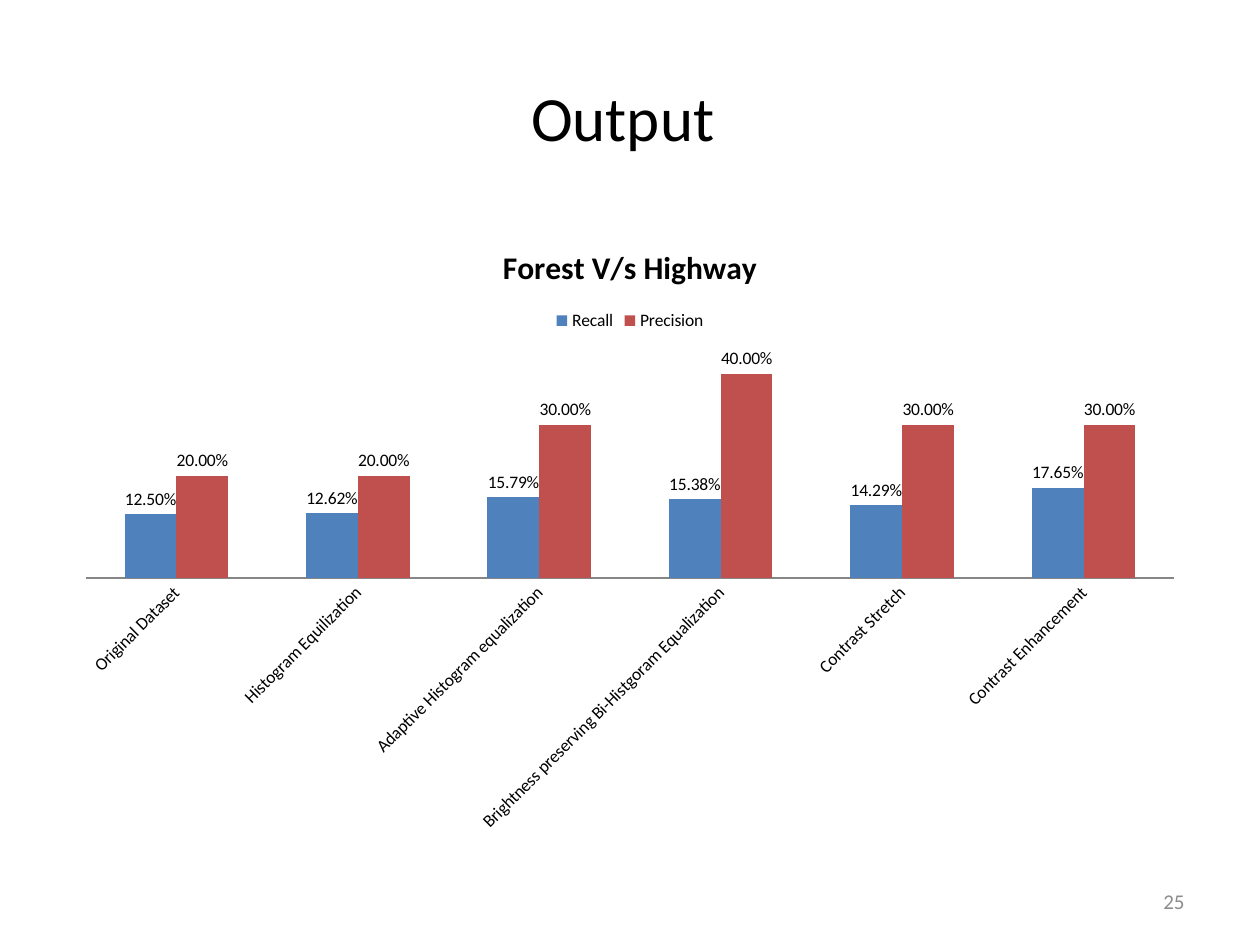
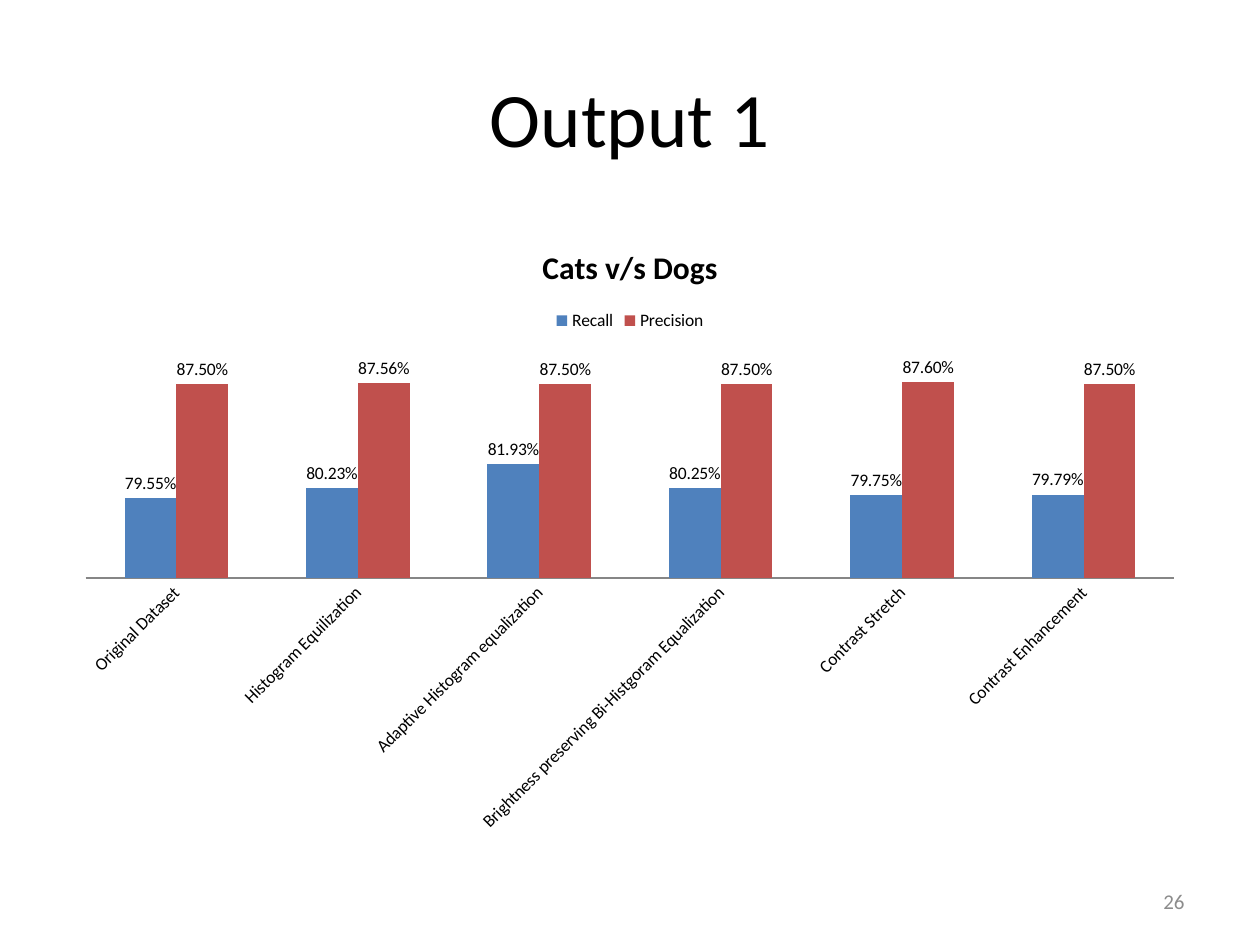
from dataclasses import dataclass

from pptx import Presentation
from pptx import util as u
from pptx.chart.data import CategoryChartData
from pptx.dml.color import RGBColor
from pptx.enum import chart as charts
from pptx.enum import text
from pptx.oxml.ns import qn

EMU_PER_PX = 9144  # 100 px to the inch
BLANK_LAYOUT = 6


@dataclass(frozen=True)
class Theme:
    font: str = "Calibri"
    ink: str = "000000"
    page_number: str = "8C8C8C"
    axis: str = "868686"
    series: tuple = ("4F81BD", "C0504D")
    chart_title_size: int = 18
    chart_size: int = 10
    number_size: int = 12
    percent: str = "0.00%"


TITLE_AREA = (50, 30, 900, 125)
CHART_AREA = (50, 175, 900, 495)
NUMBER_AREA = (717, 695, 233, 40)

METHODS = (
    "Original Dataset",
    "Histogram Equilization",
    "Adaptive Histogram equalization",
    "Brightness preserving Bi-Histgoram Equalization",
    "Contrast Stretch",
    "Contrast Enhancement",
)

RESULTS = (
    {
        "title": "Output ", "title_size": 36, "number": 25,
        "chart_title": "Forest V/s Highway", "limits": (0, 0.45),
        "scores": {
            "Recall": (0.125, 0.1262, 0.1579, 0.1538, 0.1429, 0.1765),
            "Precision": (0.2, 0.2, 0.3, 0.4, 0.3, 0.3),
        },
    },
    {
        "title": "Output 1", "title_size": 44, "number": 26,
        "chart_title": "Cats v/s Dogs", "limits": (0.74, 0.9),
        "scores": {
            "Recall": (0.7955, 0.8023, 0.8193, 0.8025, 0.7975, 0.7979),
            "Precision": (0.875, 0.8756, 0.875, 0.875, 0.876, 0.875),
        },
    },
)


def px(*lengths):
    return [u.Emu(length * EMU_PER_PX) for length in lengths]


def apply(target, values):
    for name, value in values.items():
        setattr(target, name, value)


class Deck:
    def __init__(self, theme):
        self.theme = theme
        self.deck = Presentation()
        self.deck.slide_width, self.deck.slide_height = px(1000, 750)
        self.page = None

    def add_page(self):
        self.page = self.deck.slides.add_slide(self.deck.slide_layouts[BLANK_LAYOUT])

    def style_font(self, font, size, color, bold=False):
        apply(font, {"name": self.theme.font, "size": u.Pt(size), "bold": bold})
        font.color.rgb = RGBColor.from_string(color)

    def add_text(self, content, area, size, color, align):
        frame = self.page.shapes.add_textbox(*px(*area)).text_frame
        apply(frame, {"word_wrap": True, "vertical_anchor": text.MSO_ANCHOR.MIDDLE})
        para = frame.paragraphs[0]
        para.alignment = align
        span = para.add_run()
        span.text = content
        self.style_font(span.font, size, color)

    def add_title(self, content, size):
        self.add_text(content, TITLE_AREA, size, self.theme.ink, text.PP_ALIGN.CENTER)

    def add_number(self, number):
        self.add_text(str(number), NUMBER_AREA, self.theme.number_size,
                      self.theme.page_number, text.PP_ALIGN.RIGHT)

    def add_column_chart(self, title, scores, limits):
        theme = self.theme
        data = CategoryChartData(number_format=theme.percent)
        data.categories = METHODS
        for name, values in scores.items():
            data.add_series(name, values)
        chart = self.page.shapes.add_chart(
            charts.XL_CHART_TYPE.COLUMN_CLUSTERED, *px(*CHART_AREA), data).chart
        self.style_font(chart.font, theme.chart_size, theme.ink)

        chart.has_title = True
        para = chart.chart_title.text_frame.paragraphs[0]
        span = para.add_run()
        span.text = title
        self.style_font(span.font, theme.chart_title_size, theme.ink, bold=True)

        chart.has_legend = True
        apply(chart.legend, {"position": charts.XL_LEGEND_POSITION.TOP,
                             "include_in_layout": False})
        self.style_axes(chart, limits)
        self.style_columns(chart.plots[0])

    def style_axes(self, chart, limits):
        low, high = limits
        apply(chart.value_axis, {"minimum_scale": low, "maximum_scale": high,
                                 "has_major_gridlines": False, "visible": False})
        axis = chart.category_axis
        apply(axis, {"major_tick_mark": charts.XL_TICK_MARK.NONE,
                     "minor_tick_mark": charts.XL_TICK_MARK.NONE})
        axis.format.line.color.rgb = RGBColor.from_string(self.theme.axis)
        self.style_font(axis.tick_labels.font, self.theme.chart_size, self.theme.ink)
        steps = (qn("c:catAx"), qn("c:txPr"), qn("a:bodyPr"))
        body = chart.element.find(".//" + "/".join(steps))
        body.set("rot", str(-45 * 60000))

    def style_columns(self, plot):
        apply(plot, {"gap_width": 150, "overlap": 0, "vary_by_categories": False})
        for series, color in zip(plot.series, self.theme.series):
            series.format.fill.solid()
            series.format.fill.fore_color.rgb = RGBColor.from_string(color)
            labels = series.data_labels
            apply(labels, {"show_value": True, "number_format": self.theme.percent,
                           "number_format_is_linked": False,
                           "position": charts.XL_LABEL_POSITION.OUTSIDE_END})
            self.style_font(labels.font, self.theme.chart_size, self.theme.ink)


def main():
    slides = Deck(Theme())
    for result in RESULTS:
        slides.add_page()
        slides.add_title(result["title"], result["title_size"])
        slides.add_number(result["number"])
        slides.add_column_chart(result["chart_title"], result["scores"], result["limits"])
    slides.deck.save("out.pptx")


if __name__ == "__main__":
    main()
